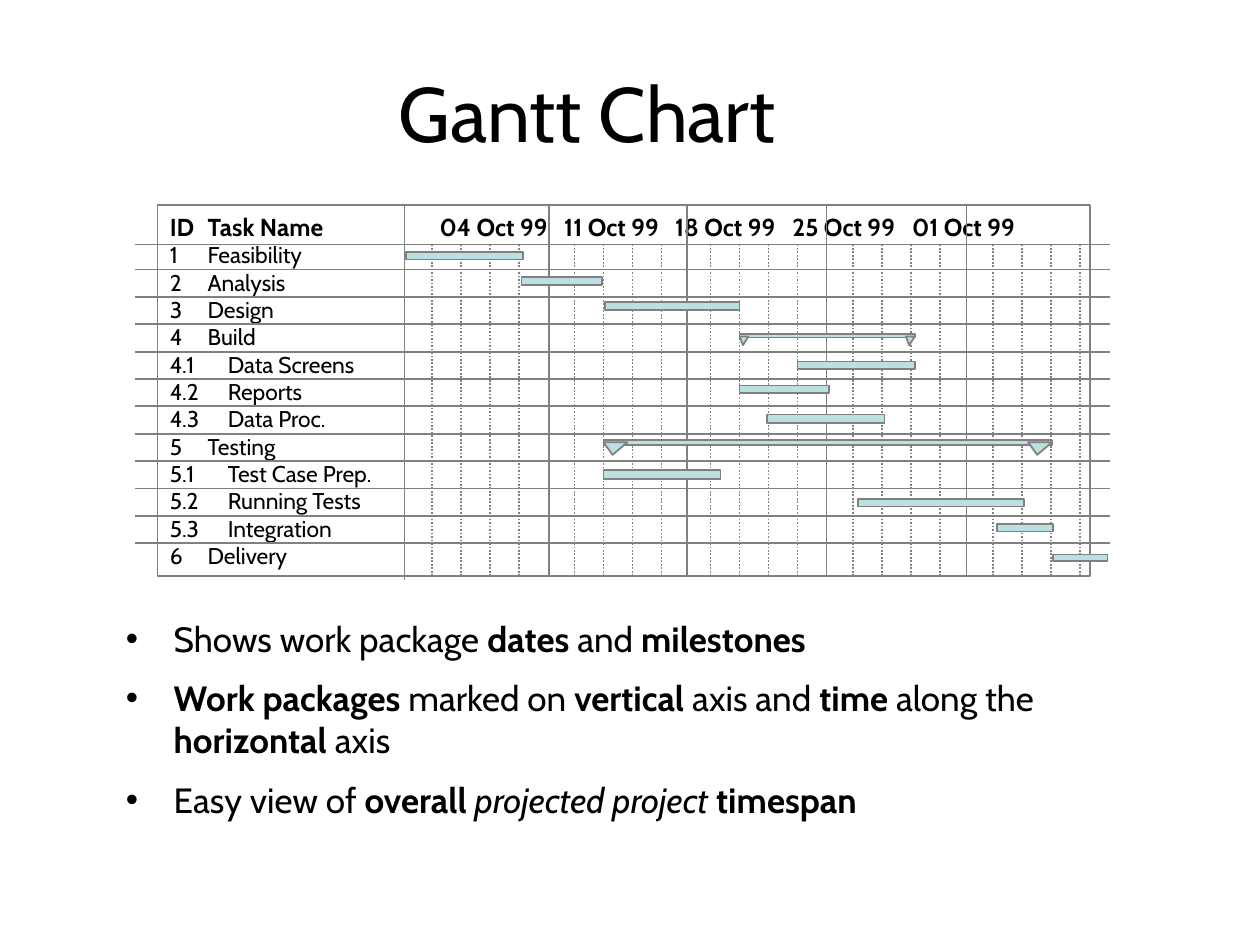
from dataclasses import dataclass
from typing import Optional

from lxml.etree import SubElement
from pptx import Presentation
from pptx.dml.color import RGBColor
from pptx.enum.dml import MSO_LINE_DASH_STYLE as Dash
from pptx.enum.shapes import MSO_CONNECTOR as Connector
from pptx.enum.shapes import MSO_SHAPE as Shape
from pptx.enum.text import MSO_ANCHOR as Anchor
from pptx.enum.text import PP_ALIGN as Align
from pptx.oxml.ns import qn
from pptx.util import Inches, Pt

COLOURS = {"text": "000000", "line": "808080", "bar": "BBE0E3"}
FONT = "Cabin"


@dataclass
class Task:
    number: str
    name: str
    start: float
    top: float
    length: float
    height: float = 0.06
    marker_width: float = 0  # summary tasks end in triangles
    marker_height: float = 0


TASKS = [
    Task("1", "Feasibility", 3.22, 2.0, 0.93),
    Task("2", "Analysis", 4.14, 2.2, 0.64),
    Task("3", "Design", 4.8, 2.4, 1.07),
    Task("4", "Build", 5.87, 2.65, 1.39, 0.03, 0.07, 0.07),
    Task("4.1", "Data Screens", 6.33, 2.87, 0.93),
    Task("4.2", "Reports", 5.87, 3.06, 0.71),
    Task("4.3", "Data Proc.", 6.09, 3.29, 0.93, 0.07),
    Task("5", "Testing", 4.79, 3.49, 3.56, 0.04, 0.19, 0.1),
    Task("5.1", "Test Case Prep.", 4.79, 3.73, 0.93, 0.07),
    Task("5.2", "Running Tests", 6.81, 3.96, 1.32),
    Task("5.3", "Integration", 7.91, 4.16, 0.45),
    Task("6", "Delivery", 8.36, 4.4, 0.43, 0.05),
]
DATES = ["04 Oct 99", "11 Oct 99", "18 Oct 99", "25 Oct 99", "01 Oct 99"]
DATE_TABS = [2.14, 3.13, 4.01, 4.94, 5.89]
NAME_TAB, SUBTASK_TAB = 0.3, 0.46

WEEK_LINES = [3.21, 4.36, 5.45, 6.56, 7.67]
FIRST_DAYS = [3.43, 4.56, 5.64, 6.77, 7.88]
DAYS_PER_WEEK, DAY_STEP = 4, 0.23
GRID_LEFT, GRID_RIGHT = 1.07, 8.81
HEADER_LINE, FIRST_ROW_LINE, ROW_STEP = 1.94, 2.14, 0.217

# Each bullet is a list of (text, style) runs
BULLETS = [
    [("Shows work package ", ""), ("dates ", "bold"), ("and ", ""),
     ("milestones", "bold")],
    [("Work packages", "bold"), (" marked on ", ""), ("vertical ", "bold"),
     ("axis and ", ""), ("time", "bold"), (" along the ", ""),
     ("horizontal", "bold"), (" axis", "")],
    [("Easy view of ", ""), ("overall ", "bold"),
     ("projected project ", "italic"), ("timespan", "bold")],
]


def colour(name: str) -> RGBColor:
    return RGBColor.from_string(COLOURS[name])


def add_run(paragraph, text: str, *, size: float, bold: bool = False,
            italic: bool = False) -> None:
    run = paragraph.add_run()
    run.text = text
    run.font.name = FONT
    run.font.size = Pt(size)
    run.font.bold = bold
    run.font.italic = italic
    run.font.color.rgb = colour("text")


def set_tabs(paragraph, positions: list[float]) -> None:
    tab_list = SubElement(paragraph._p.get_or_add_pPr(), qn("a:tabLst"))
    for position in positions:
        SubElement(tab_list, qn("a:tab"), pos=str(Inches(position)), algn="l")


def set_bullet(paragraph, indent: float) -> None:
    properties = paragraph._p.get_or_add_pPr()
    properties.set("marL", str(Inches(indent)))
    properties.set("indent", str(-Inches(indent)))
    SubElement(properties, qn("a:buFont"), typeface="Arial")
    SubElement(properties, qn("a:buChar"), char="•")


def add_paragraph(frame, index: int):
    return frame.add_paragraph() if index else frame.paragraphs[0]


def add_text_box(slide, left: float, top: float, width: float, height: float):
    box = slide.shapes.add_textbox(
        Inches(left), Inches(top), Inches(width), Inches(height))
    box.text_frame.word_wrap = True
    return box.text_frame


def add_line(slide, x1: float, y1: float, x2: float, y2: float,
             dash: Optional[Dash] = None) -> None:
    line = slide.shapes.add_connector(
        Connector.STRAIGHT, Inches(x1), Inches(y1), Inches(x2), Inches(y2))
    line.line.color.rgb = colour("line")
    line.line.width = Pt(1)
    if dash is not None:
        line.line.dash_style = dash
    SubElement(line._element.spPr, qn("a:effectLst"))


def add_block(slide, kind: Shape, left: float, top: float, width: float,
              height: float, fill: Optional[str] = "bar"):
    shape = slide.shapes.add_shape(
        kind, Inches(left), Inches(top), Inches(width), Inches(height))
    shape.shadow.inherit = False
    if fill:
        shape.fill.solid()
        shape.fill.fore_color.rgb = colour(fill)
    else:
        shape.fill.background()
    shape.line.color.rgb = colour("line")
    shape.line.width = Pt(1)
    return shape


def add_task_list(slide) -> None:
    frame = add_block(slide, Shape.RECTANGLE, 1.25, 1.63, 7.4, 2.94,
                      fill=None).text_frame
    frame.word_wrap = True
    frame.vertical_anchor = Anchor.TOP
    header = frame.paragraphs[0]
    header.alignment = Align.LEFT
    set_tabs(header, [NAME_TAB, *DATE_TABS])
    add_run(header, "\t".join(["ID", "Task Name", *DATES]), size=14, bold=True)
    for task in TASKS:
        paragraph = frame.add_paragraph()
        paragraph.alignment = Align.LEFT
        set_tabs(paragraph, [SUBTASK_TAB if "." in task.number else NAME_TAB])
        add_run(paragraph, f"{task.number}\t{task.name}", size=13)


def add_grid(slide) -> None:
    for x in WEEK_LINES:
        add_line(slide, x, 1.63, x, 4.6 if x == WEEK_LINES[0] else 4.57)
    for first_day in FIRST_DAYS:
        for day in range(DAYS_PER_WEEK):
            x = first_day + day * DAY_STEP
            add_line(slide, x, 1.94, x, 4.56, Dash.ROUND_DOT)
    row_lines = [FIRST_ROW_LINE + row * ROW_STEP
                 for row in range(len(TASKS) - 1)]
    for y in [HEADER_LINE, *row_lines]:
        add_line(slide, GRID_LEFT, y, GRID_RIGHT, y)


def add_bar(slide, task: Task) -> None:
    add_block(slide, Shape.RECTANGLE, task.start, task.top, task.length,
              task.height)
    if task.marker_width:
        end = task.start + task.length - task.marker_width
        for left in (task.start, end):
            marker = add_block(slide, Shape.ISOSCELES_TRIANGLE, left,
                               task.top + 0.02, task.marker_width,
                               task.marker_height)
            marker.adjustments[0] = 0.625
            marker.rotation = 180


def main() -> None:
    presentation = Presentation()
    presentation.slide_width = Inches(10)
    presentation.slide_height = Inches(7.5)
    slide = presentation.slides.add_slide(presentation.slide_layouts[6])

    # Title
    title = add_text_box(slide, 0.41, 0.26, 8.5, 1.25)
    title.vertical_anchor = Anchor.MIDDLE
    title.paragraphs[0].alignment = Align.CENTER
    add_run(title.paragraphs[0], "Gantt Chart", size=44)

    # Gantt chart
    add_task_list(slide)
    add_grid(slide)
    for task in TASKS:
        add_bar(slide, task)

    # Bullets
    frame = add_text_box(slide, 0.9, 4.85, 8.19, 2.01)
    for index, runs in enumerate(BULLETS):
        paragraph = add_paragraph(frame, index)
        set_bullet(paragraph, 0.38)
        paragraph.space_before = Pt(5 if index else 0)
        paragraph.space_after = Pt(5)
        for text, style in runs:
            add_run(paragraph, text, size=20, bold=style == "bold",
                    italic=style == "italic")

    presentation.save("out.pptx")


if __name__ == "__main__":
    main()
